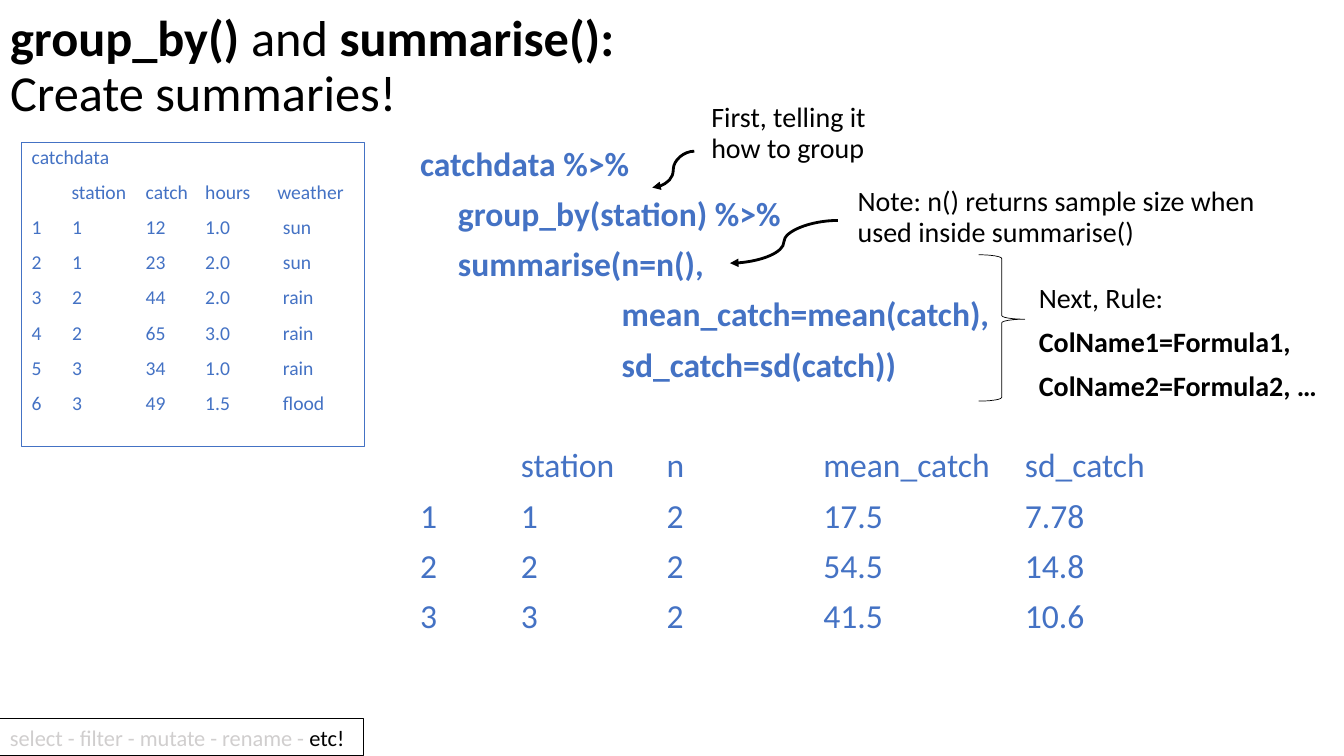
"""Build the slide that explains group_by() and summarise()."""
from lxml.etree import SubElement
from pptx import Presentation
from pptx.dml.color import RGBColor
from pptx.enum.shapes import MSO_CONNECTOR, MSO_SHAPE
from pptx.enum.text import MSO_ANCHOR, MSO_AUTO_SIZE, PP_ALIGN
from pptx.oxml.ns import qn
from pptx.util import Pt

BLUE = RGBColor(0x44, 0x72, 0xC4)
BLACK = RGBColor(0, 0, 0)
GREY = RGBColor(0xD0, 0xCE, 0xCE)
FONT = "Calibri"

TITLE = [("group_by() ", True), ("and ", False), ("summarise(): ", True), ("Create summaries!", False)]
CODE = [
    ("catchdata %>%", 0),
    ("group_by(station) %>%", 27),
    ("summarise(n=n(),", 27),
    ("mean_catch=mean(catch),", 144),
    ("sd_catch=sd(catch))", 144),
]
SUMMARY = [
    ("", "station", "n", "mean_catch", "sd_catch"),
    ("1", "1", "2", "17.5", "7.78"),
    ("2", "2", "2", "54.5", "14.8"),
    ("3", "3", "2", "41.5", "10.6"),
]
SUMMARY_STOPS = (72, 176, 288, 432)
SUMMARY_GAP = 46
CATCHES = [
    ("", "station", "catch", "hours", "weather"),
    ("1", "1", "12", "1.0", "sun"),
    ("2", "1", "23", "2.0", "sun"),
    ("3", "2", "44", "2.0", "rain"),
    ("4", "2", "65", "3.0", "rain"),
    ("5", "3", "34", "1.0", "rain"),
    ("6", "3", "49", "1.5", "flood"),
]
HEADER_STOPS = (28.5, 81.5, 124, 175.5)
CATCH_STOPS = (29, 81.5, 124, 179.5)
RULE = [("Next, Rule:", False), ("ColName1=Formula1,", True), ("ColName2=Formula2, …", True)]
NOTES = [
    ("First, telling it how to group", (501, 70.5, 130, 55)),
    ("Note: n() returns sample size when used inside summarise()", (605.5, 130.5, 320, 55)),
]
STEPS = [("select - filter - mutate - rename - ", GREY), ("etc!", BLACK)]
ARROWS = [(496, 108, 466, 134), (598.5, 157.5, 521.5, 188)]


def add_span(para, text, size, color, bold=False):
    span = para.add_run()
    span.text = text
    for name, value in {"name": FONT, "size": Pt(size), "bold": bold}.items():
        setattr(span.font, name, value)
    span.font.color.rgb = color


def add_para(frame, text, size, color, bold=False, before=10, indent=0, stops=()):
    para = frame.paragraphs[0]
    if para.runs:
        para = frame.add_paragraph()
    for name, value in {"line_spacing": 0.9, "space_before": Pt(before)}.items():
        setattr(para, name, value)
    properties = para._p.get_or_add_pPr()
    if indent:
        properties.set("marL", str(Pt(indent)))
    if stops:
        tabs = SubElement(properties, qn("a:tabLst"))
        for stop in stops:
            SubElement(tabs, qn("a:tab"), pos=str(Pt(stop)), algn="l")
    add_span(para, text, size, color, bold)


def add_box(slide, place, line=None):
    box = slide.shapes.add_textbox(*map(Pt, place))
    box.text_frame.word_wrap = True
    if line is not None:
        box.line.color.rgb = line
        box.line.width = Pt(0.75)
    return box.text_frame


def add_title(slide):
    title = slide.shapes.title
    place = {"left": 0, "top": 0, "width": 521.5, "height": 97}
    for name, value in place.items():
        setattr(title, name, Pt(value))
    frame = title.text_frame
    settings = {"word_wrap": True, "auto_size": MSO_AUTO_SIZE.NONE, "vertical_anchor": MSO_ANCHOR.MIDDLE}
    for name, value in settings.items():
        setattr(frame, name, value)
    para = frame.paragraphs[0]
    para.alignment = PP_ALIGN.LEFT
    para.line_spacing = 0.9
    for text, bold in TITLE:
        add_span(para, text, 36, BLACK, bold)


def add_code(slide):
    frame = add_box(slide, (293, 101.5, 625, 429))
    for text, indent in CODE:
        add_para(frame, text, 24, BLUE, bold=True, indent=indent)
    for index, row in enumerate(SUMMARY):
        before = 10 if index else SUMMARY_GAP
        add_para(frame, "\t".join(row), 24, BLUE, before=before, stops=SUMMARY_STOPS)


def add_catches(slide):
    frame = add_box(slide, (15.5, 101.5, 245, 217.5), BLUE)
    add_para(frame, "catchdata", 14, BLUE)
    for index, row in enumerate(CATCHES):
        stops = CATCH_STOPS if index else HEADER_STOPS
        add_para(frame, "\t".join(row), 14, BLUE, stops=stops)


def add_notes(slide):
    frame = add_box(slide, (735, 199.5, 214.5, 116.5))
    for text, bold in RULE:
        add_para(frame, text, 20, BLACK, bold)
    for text, place in NOTES:
        add_para(add_box(slide, place), text, 20, BLACK)


def add_steps(slide):
    para = add_box(slide, (0, 513.5, 260, 26.5), BLACK).paragraphs[0]
    for text, color in STEPS:
        add_span(para, text, 16, color)


def add_brace(slide):
    brace = slide.shapes.add_shape(MSO_SHAPE.LEFT_BRACE, *map(Pt, (699, 182, 33, 104.5)))
    brace.rotation = 180
    brace.adjustments[0] = 0.08
    brace.adjustments[1] = 0.56
    brace.shadow.inherit = False
    brace.fill.background()
    brace.line.color.rgb = BLACK
    brace.line.width = Pt(0.5)


def add_arrow(slide, ends):
    arrow = slide.shapes.add_connector(MSO_CONNECTOR.CURVE, *map(Pt, ends))
    arrow.line.color.rgb = BLACK
    arrow.line.width = Pt(2)
    SubElement(arrow.line._get_or_add_ln(), qn("a:tailEnd"), type="triangle")
    SubElement(arrow._element.spPr, qn("a:effectLst"))


def main():
    deck = Presentation()
    deck.slide_width, deck.slide_height = Pt(960), Pt(540)
    slide = deck.slides.add_slide(deck.slide_layouts[5])
    for add_part in (add_title, add_code, add_catches, add_notes, add_steps, add_brace):
        add_part(slide)
    for ends in ARROWS:
        add_arrow(slide, ends)
    deck.save("out.pptx")


if __name__ == "__main__":
    main()
